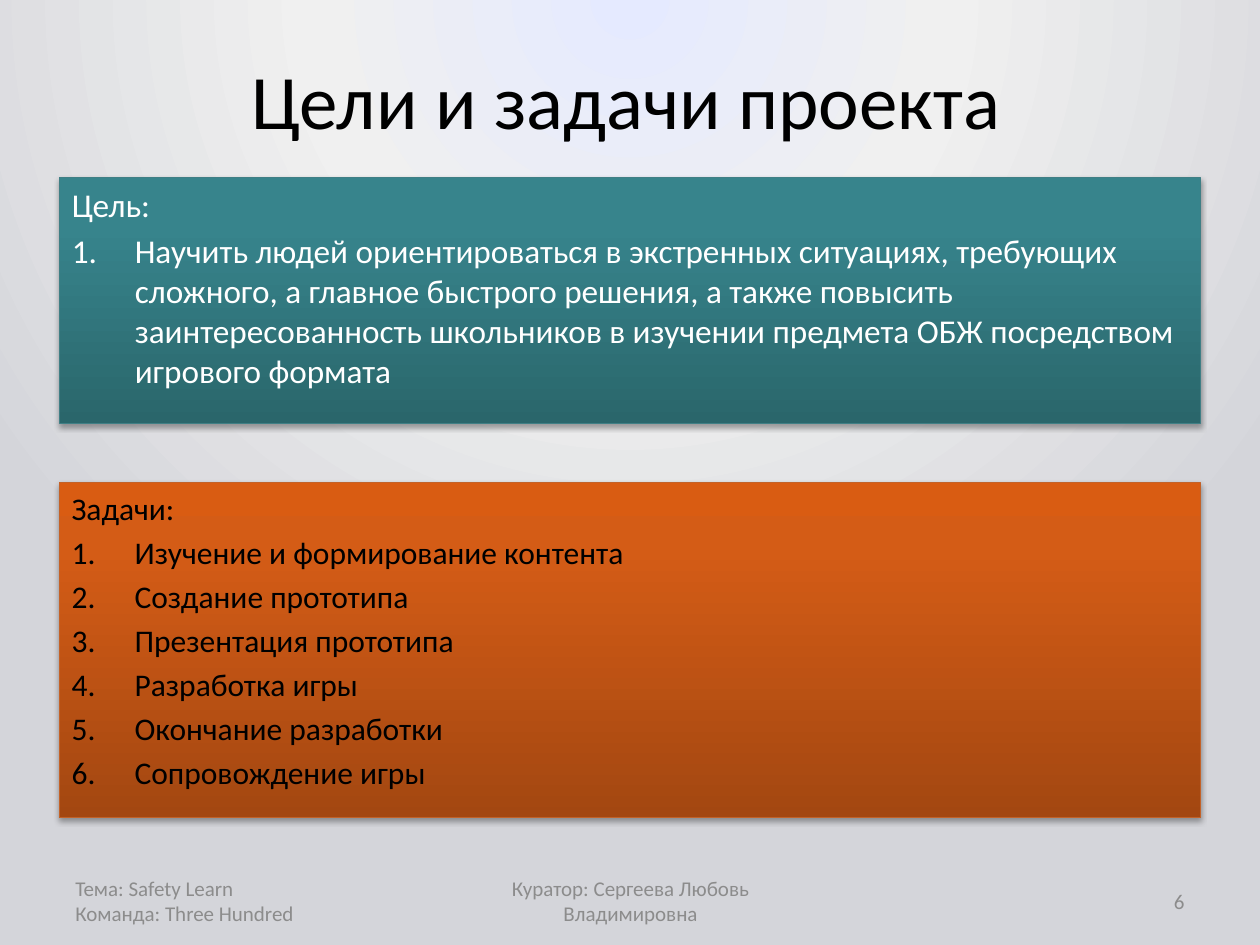
from dataclasses import dataclass

from pptx import Presentation
from pptx.dml.color import RGBColor
from pptx.enum.shapes import MSO_SHAPE
from pptx.enum.text import MSO_ANCHOR, MSO_AUTO_SIZE, PP_ALIGN
from pptx.oxml import parse_xml
from pptx.oxml.ns import nsdecls, qn
from pptx.util import Inches, Pt


@dataclass(frozen=True)
class Theme:
    font: str = "Calibri"
    title_size: int = 44
    goal_size: int = 19
    tasks_size: int = 18
    footer_size: int = 12
    dark: str = "000000"
    light: str = "FFFFFF"
    muted: str = "8C8C8C"
    backdrop: tuple = ((0, "E5EAFF"), (40, "F0F0F0"), (100, "D4D5DA"))
    teal: tuple = ((0, "2A666B"), (80, "37848C"), (100, "36868E"))
    teal_line: str = "407F85"
    orange: tuple = ((0, "A34711"), (80, "D45C16"), (100, "D95C12"))
    orange_line: str = "C36228"


UPWARD = '<a:lin ang="16200000" scaled="0"/>'
FROM_TOP = ('<a:path path="circle">'
            '<a:fillToRect l="50000" t="-80000" r="50000" b="180000"/></a:path>')


class SlideBuilder:
    def __init__(self, slide, theme):
        self.slide = slide
        self.theme = theme

    def gradient(self, fill, owner, stops, direction):
        fill.gradient()
        default = owner.find(".//" + qn("a:gradFill"))
        stop_xml = "".join(
            f'<a:gs pos="{position * 1000}"><a:srgbClr val="{color}"/></a:gs>'
            for position, color in stops)
        default.getparent().replace(default, parse_xml(
            f'<a:gradFill {nsdecls("a")} rotWithShape="1">'
            f'<a:gsLst>{stop_xml}</a:gsLst>{direction}</a:gradFill>'))

    def background(self):
        self.gradient(self.slide.background.fill, self.slide.element,
                      self.theme.backdrop, FROM_TOP)

    def place(self, shape, left, top, width, height):
        shape.left, shape.top = Inches(left), Inches(top)
        shape.width, shape.height = Inches(width), Inches(height)

    def frame(self, shape, anchor):
        frame = shape.text_frame
        frame.word_wrap = True
        frame.auto_size = MSO_AUTO_SIZE.NONE
        frame.vertical_anchor = anchor
        return frame

    def run(self, paragraph, text, size, color):
        run = paragraph.add_run()
        run.text = text
        run.font.name = self.theme.font
        run.font.size = Pt(size)
        run.font.color.rgb = RGBColor.from_string(color)

    def title(self, text):
        title = self.slide.shapes.title
        self.place(title, 0.47, 0.16, 9, 1.25)
        paragraph = self.frame(title, MSO_ANCHOR.MIDDLE).paragraphs[0]
        paragraph.alignment = PP_ALIGN.CENTER
        self.run(paragraph, text, self.theme.title_size, self.theme.dark)

    def panel(self, shape, stops, line_color):
        self.gradient(shape.fill, shape.element.spPr, stops, UPWARD)
        shape.line.color.rgb = RGBColor.from_string(line_color)
        shape.line.width = Pt(0.75)
        shape.shadow.inherit = False
        effects = shape.element.spPr.find(qn("a:effectLst"))
        effects.append(parse_xml(
            f'<a:outerShdw {nsdecls("a")} blurRad="{Pt(3.1)}" dist="{Pt(1.8)}" '
            'dir="5400000" rotWithShape="0"><a:srgbClr val="000000">'
            '<a:alpha val="35000"/></a:srgbClr></a:outerShdw>'))

    def numbered_list(self, shape, heading, items, size, color):
        frame = self.frame(shape, MSO_ANCHOR.TOP)
        for index, text in enumerate([heading, *items]):
            paragraph = frame.add_paragraph() if index else frame.paragraphs[0]
            paragraph.alignment = PP_ALIGN.LEFT
            paragraph.space_before = Pt(size * 0.2 if index else 0)
            properties = paragraph._p.get_or_add_pPr()
            properties.set("marL", str(Inches(0.5)))
            properties.set("indent", str(Inches(-0.5)))
            bullet = '<a:buAutoNum {} type="arabicPeriod"/>' if index else "<a:buNone {}/>"
            properties.append(parse_xml(bullet.format(nsdecls("a"))))
            self.run(paragraph, text, size, color)

    def goal(self, heading, items):
        theme = self.theme
        body = self.slide.placeholders[1]
        self.place(body, 0.47, 1.41, 9.06, 1.95)
        self.panel(body, theme.teal, theme.teal_line)
        self.numbered_list(body, heading, items, theme.goal_size, theme.light)

    def tasks(self, heading, items):
        theme = self.theme
        box = self.slide.shapes.add_shape(
            MSO_SHAPE.RECTANGLE, Inches(0.47), Inches(3.83), Inches(9.06), Inches(2.66))
        self.panel(box, theme.orange, theme.orange_line)
        self.numbered_list(box, heading, items, theme.tasks_size, theme.dark)

    def footer(self, left, width, lines, alignment):
        box = self.slide.shapes.add_textbox(
            Inches(left), Inches(6.95), Inches(width), Inches(0.4))
        paragraph = self.frame(box, MSO_ANCHOR.MIDDLE).paragraphs[0]
        paragraph.alignment = alignment
        for index, text in enumerate(lines):
            if index:
                paragraph.add_line_break()
            self.run(paragraph, text, self.theme.footer_size, self.theme.muted)


def main():
    presentation = Presentation()
    presentation.slide_width = Inches(10)
    presentation.slide_height = Inches(7.5)
    slide = presentation.slides.add_slide(presentation.slide_layouts[1])
    builder = SlideBuilder(slide, Theme())
    builder.background()
    builder.title("Цели и задачи проекта")
    builder.goal("Цель:", [
        "Научить людей ориентироваться в экстренных ситуациях, требующих "
        "сложного, а главное быстрого решения, а также повысить "
        "заинтересованность школьников в изучении предмета ОБЖ посредством "
        "игрового формата",
    ])
    builder.tasks("Задачи:", [
        "Изучение и формирование контента",
        "Создание прототипа",
        "Презентация прототипа",
        "Разработка игры",
        "Окончание разработки",
        "Сопровождение игры",
    ])
    builder.footer(7.17, 2.33, ["6"], PP_ALIGN.RIGHT)
    builder.footer(3.42, 3.17, ["Куратор: Сергеева Любовь Владимировна"], PP_ALIGN.CENTER)
    builder.footer(0.5, 2.33, ["Тема: Safety Learn", "Команда: Three Hundred"],
                   PP_ALIGN.LEFT)
    presentation.save("out.pptx")


if __name__ == "__main__":
    main()
